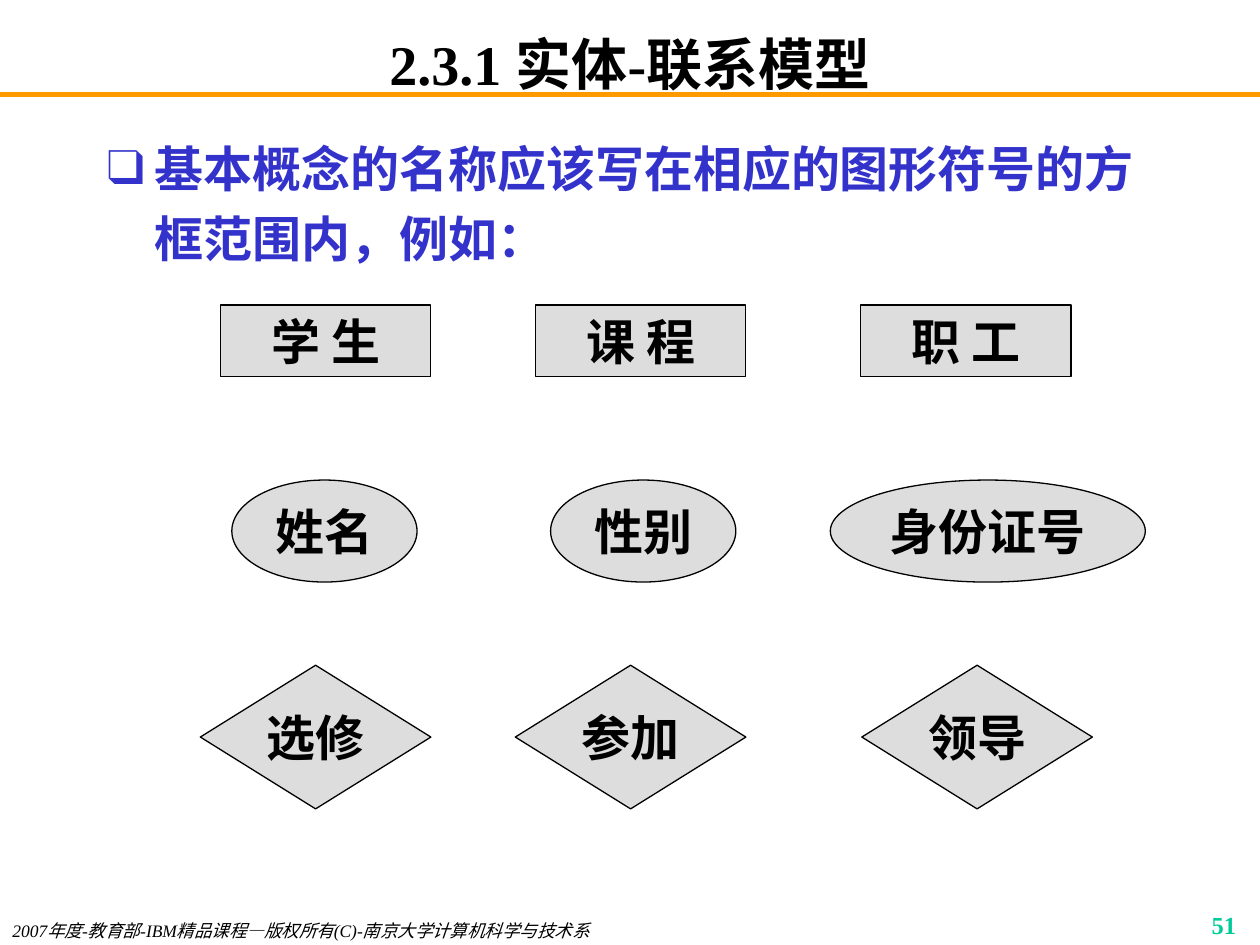
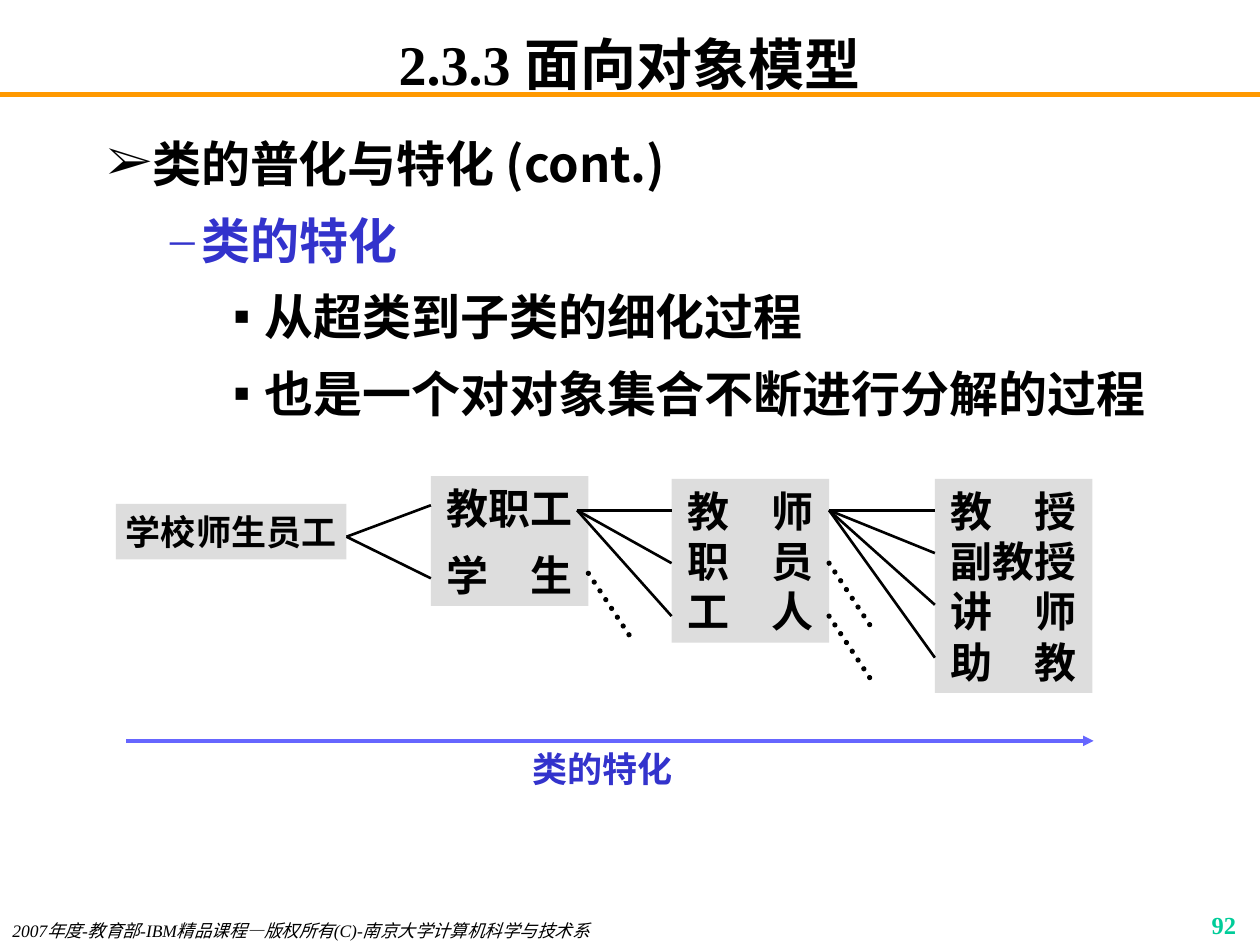
from dataclasses import dataclass

from lxml import etree
from pptx import Presentation
from pptx import util as u
from pptx.dml.color import RGBColor
from pptx.enum import dml, shapes, text
from pptx.oxml.ns import qn


@dataclass(frozen=True)
class Theme:
    latin: str = "Times New Roman"
    cjk: str = "Noto Sans CJK SC"
    ink: str = "000000"
    accent: str = "3333CC"
    arrow: str = "6666FF"
    rule: str = "FF9900"
    number: str = "00CC99"
    panel: str = "DDDDDD"
    title: int = 32
    body: int = 28
    tree: int = 24
    label: int = 20
    page: int = 14
    footer: int = 10
    leading: float = 1.2


THEME = Theme()
WIDTH, HEIGHT = 10, 7.5
FOOTER = "2007年度-教育部-IBM精品课程—版权所有(C)-南京大学计算机科学与技术系"

SYMBOLS_PAGE = dict(
    title="2.3.1 实体-联系模型", number="51",
    body=(0.75, 0.96, 8.5, 1.42), leading=1.43, font=THEME.latin,
    # level, bullet, colour, left margin, hanging indent, wording
    points=[(0, "❑", THEME.accent, 0.38, 0.38,
             "基本概念的名称应该写在相应的图形符号的方框范围内，例如：")])

# preset, top, height, then (label, left, width) for each example
SYMBOL_ROWS = [
    (shapes.MSO_SHAPE.RECTANGLE, 2.42, 0.57,
     [("学 生", 1.75, 1.67), ("课 程", 4.25, 1.67), ("职 工", 6.83, 1.67)]),
    (shapes.MSO_SHAPE.OVAL, 3.81, 0.81,
     [("姓名", 1.84, 1.47), ("性别", 4.37, 1.47), ("身份证号", 6.59, 2.5)]),
    (shapes.MSO_SHAPE.FLOWCHART_DECISION, 5.28, 1.14,
     [("选修", 1.59, 1.83), ("参加", 4.09, 1.83), ("领导", 6.84, 1.83)]),
]

CLASSES_PAGE = dict(
    title="2.3.3 面向对象模型", number="92",
    body=(0.25, 0.96, 9.25, 2.58), leading=1.32, font=THEME.cjk,
    points=[(1, "➢", THEME.ink, 0.81, 0.31, "类的普化与特化 (cont.)"),
            (2, "–", THEME.accent, 1.25, 0.25, "类的特化"),
            (3, "▪", THEME.ink, 1.75, 0.25, "从超类到子类的细化过程"),
            (3, "▪", THEME.ink, 1.75, 0.25, "也是一个对对象集合不断进行分解的过程")])

# box, type size, space between classes, classes
CLASS_LEVELS = [
    ((0.92, 4, 1.83, 0.44), THEME.label, 0, ["学校师生员工"]),
    ((3.42, 3.78, 1.25, 1.03), THEME.tree, 9, ["教职工", "学　生"]),
    ((5.33, 3.8, 1.25, 1.3), THEME.tree, 0, ["教　师", "职　员", "工　人"]),
    ((7.42, 3.8, 1.25, 1.7), THEME.tree, 0, ["教　授", "副教授", "讲　师", "助　教"]),
]
# superclass point, left edge of its subclasses, height of each subclass
FANS = [
    ((2.75, 4.26), 3.42, [4.01, 4.59]),
    ((4.58, 4.05), 5.33, [4.05, 4.47, 4.89]),
    ((6.58, 4.05), 7.42, [4.05, 4.39, 4.8, 5.22]),
]
OMITTED_BRANCHES = [(4.67, 4.55), (6.58, 4.47), (6.58, 4.89)]
BRANCH_RUN, BRANCH_DROP = 0.33, 0.5
DIRECTION = ((1, 5.88), (8.68, 5.88))
DIRECTION_LABEL = ("类的特化", (4.13, 5.88, 1.31, 0.44))


def inches(values):
    return [u.Inches(value) for value in values]


def add_run(paragraph, wording, size, color=THEME.ink, latin=THEME.latin,
            bold=True, italic=False):
    run = paragraph.add_run()
    run.text = wording
    font = run.font
    font.size, font.bold, font.italic = u.Pt(size), bold, italic
    font.name = latin
    font.color.rgb = RGBColor.from_string(color)
    east_asian = etree.Element(qn("a:ea"), typeface=THEME.cjk)
    font._element.find(qn("a:latin")).addnext(east_asian)


def write_lines(frame, lines, size, align, gap=0, **style):
    for index, line in enumerate(lines):
        paragraph = frame.add_paragraph() if index else frame.paragraphs[0]
        paragraph.alignment = align
        paragraph.line_spacing = u.Pt(size * THEME.leading)
        if index:
            paragraph.space_before = u.Pt(gap)
        add_run(paragraph, line, size, **style)


def add_label(slide, box, wording, size, align, wrap=True, **style):
    frame = slide.shapes.add_textbox(*inches(box)).text_frame
    frame.word_wrap = wrap
    write_lines(frame, [wording], size, align, **style)


def add_panel(slide, preset, box, lines, size, gap=0, outlined=False):
    panel = slide.shapes.add_shape(preset, *inches(box))
    panel.shadow.inherit = False
    panel.fill.solid()
    panel.fill.fore_color.rgb = RGBColor.from_string(THEME.panel)
    if outlined:
        panel.line.color.rgb = RGBColor.from_string(THEME.ink)
        panel.line.width = u.Pt(0.75)
    else:
        panel.line.fill.background()
    frame = panel.text_frame
    frame.word_wrap = False
    frame.vertical_anchor = text.MSO_ANCHOR.MIDDLE
    write_lines(frame, lines, size, text.PP_ALIGN.CENTER, gap)


def add_line(slide, start, end, color=THEME.ink, width=1.5, dotted=False, arrow=False):
    line = slide.shapes.add_connector(
        shapes.MSO_CONNECTOR.STRAIGHT, *inches(start), *inches(end))
    line.line.color.rgb = RGBColor.from_string(color)
    line.line.width = u.Pt(width)
    properties = line._element.spPr
    outline = properties.find(qn("a:ln"))
    if dotted:
        line.line.dash_style = dml.MSO_LINE.ROUND_DOT
        outline.set("cap", "rnd")
    if arrow:
        etree.SubElement(outline, qn("a:tailEnd"), type="triangle")
    etree.SubElement(properties, qn("a:effectLst"))


def set_bullet(paragraph, mark, color, margin, hanging):
    properties = paragraph._p.get_or_add_pPr()
    properties.set("marL", str(u.Inches(margin)))
    properties.set("indent", str(-u.Inches(hanging)))
    tint = etree.SubElement(properties, qn("a:buClr"))
    etree.SubElement(tint, qn("a:srgbClr"), val=color)
    etree.SubElement(properties, qn("a:buFont"), typeface=THEME.latin)
    etree.SubElement(properties, qn("a:buChar"), char=mark)


def place(placeholder, box):
    placeholder.left, placeholder.top, placeholder.width, placeholder.height = inches(box)
    placeholder.text_frame.auto_size = text.MSO_AUTO_SIZE.NONE
    placeholder.text_frame.word_wrap = True
    return placeholder.text_frame


def add_page(deck, page):
    """Add a slide with the shared rule, title, list, footer and number."""
    slide = deck.slides.add_slide(deck.slide_layouts[1])
    add_line(slide, (0, HEIGHT / 10), (WIDTH, HEIGHT / 10), THEME.rule, 3)

    heading = place(slide.shapes.title, (0.75, 0.25, 8.5, 0.5))
    heading.margin_top = heading.margin_bottom = 0
    heading.vertical_anchor = text.MSO_ANCHOR.MIDDLE
    heading.paragraphs[0].alignment = text.PP_ALIGN.CENTER
    add_run(heading.paragraphs[0], page["title"], THEME.title)

    body = place(slide.placeholders[1], page["body"])
    for index, (level, mark, color, margin, hanging, wording) in enumerate(page["points"]):
        paragraph = body.add_paragraph() if index else body.paragraphs[0]
        paragraph.level = level
        set_bullet(paragraph, mark, color, margin, hanging)
        paragraph.line_spacing = u.Pt(THEME.body * page["leading"])
        paragraph.space_before = u.Pt(7 if index else 0)
        add_run(paragraph, wording, THEME.body, color, page["font"])

    add_label(slide, (0, 7.25, 5.5, 0.25), FOOTER, THEME.footer,
              text.PP_ALIGN.LEFT, bold=False, italic=True)
    add_label(slide, (7.83, 7.17, 2.08, 0.25), page["number"], THEME.page,
              text.PP_ALIGN.RIGHT, color=THEME.number)
    return slide


def draw_symbols(slide):
    for preset, top, height, examples in SYMBOL_ROWS:
        for wording, left, width in examples:
            add_panel(slide, preset, (left, top, width, height), [wording],
                      THEME.body, outlined=True)


def draw_class_tree(slide):
    for box, size, gap, classes in CLASS_LEVELS:
        add_panel(slide, shapes.MSO_SHAPE.RECTANGLE, box, classes, size, gap)
    for superclass, left, heights in FANS:
        for height in heights:
            add_line(slide, superclass, (left, height))
    for x, y in OMITTED_BRANCHES:
        add_line(slide, (x, y), (x + BRANCH_RUN, y + BRANCH_DROP), width=3, dotted=True)
    wording, box = DIRECTION_LABEL
    add_label(slide, box, wording, THEME.label, text.PP_ALIGN.CENTER,
              wrap=False, color=THEME.accent)
    add_line(slide, *DIRECTION, THEME.arrow, 2, arrow=True)


def main():
    deck = Presentation()
    deck.slide_width, deck.slide_height = inches((WIDTH, HEIGHT))
    draw_symbols(add_page(deck, SYMBOLS_PAGE))
    draw_class_tree(add_page(deck, CLASSES_PAGE))
    deck.save("out.pptx")


if __name__ == "__main__":
    main()
